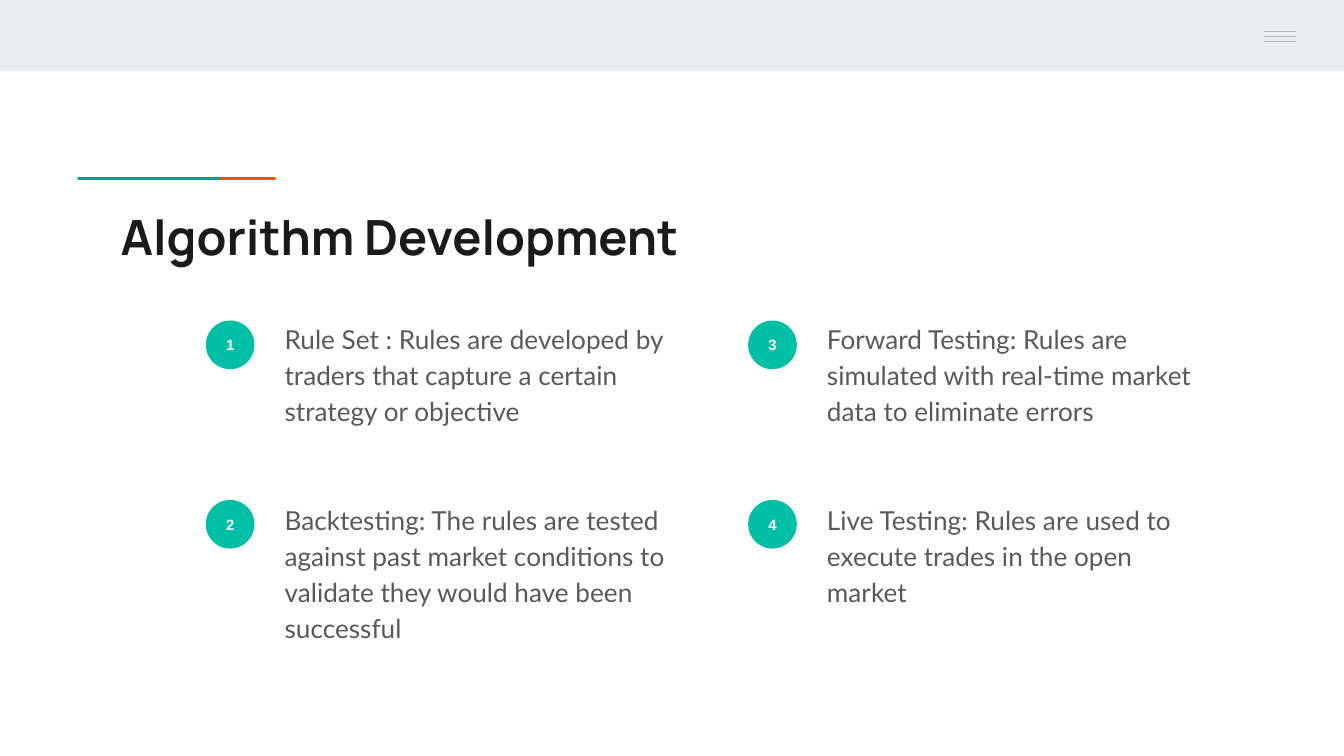
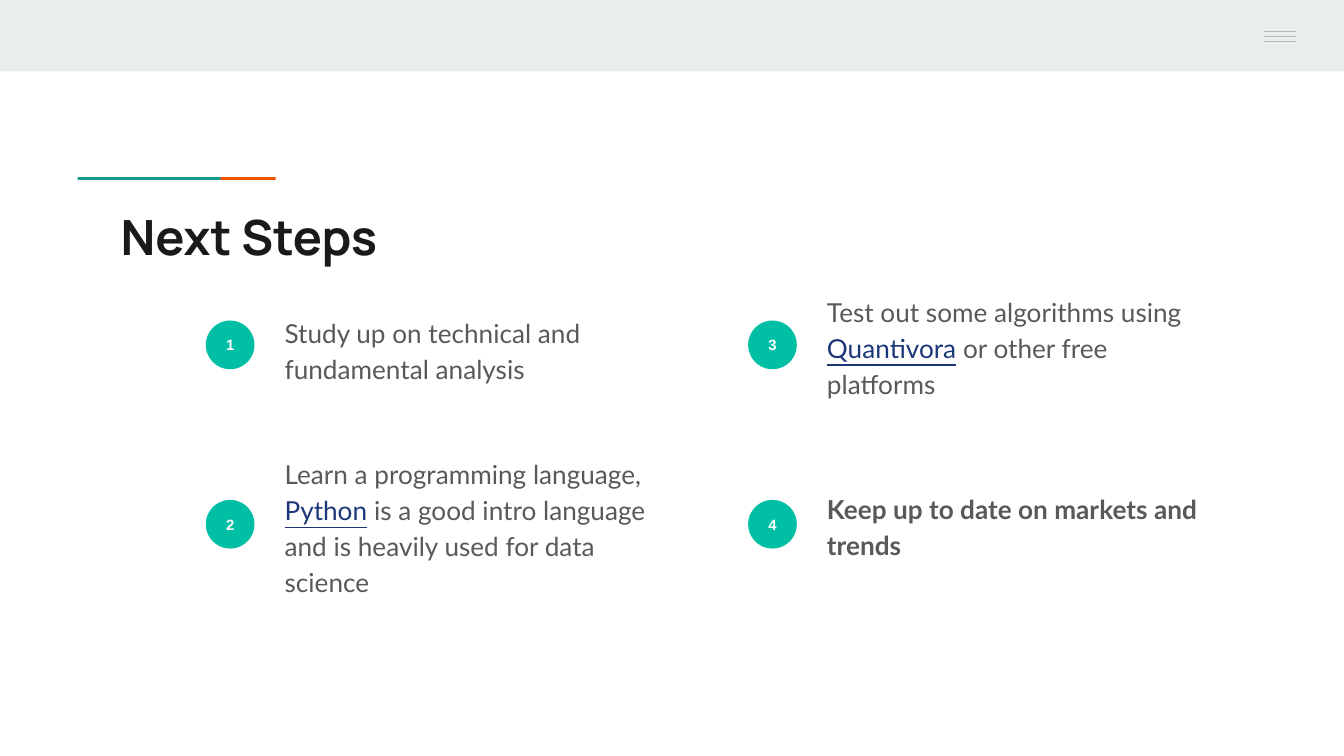
from lxml import etree
from pptx import Presentation, util as u
from pptx.dml.color import RGBColor
from pptx.enum import shapes, text
from pptx.oxml.ns import qn

Cm, Pt = u.Cm, u.Pt
HUES = {
    "band": "E9EDEE", "menu": "B7B7B7", "orange": "EB5600", "green": "1A9988",
    "badge": "00BFA5", "title": "1A1A1A", "body": "595959", "link": "1C3678",
    "white": "FFFFFF",
}


def hue(name):
    return RGBColor.from_string(HUES[name])


class Deck:
    def __init__(self):
        self.show = Presentation()
        self.show.slide_width, self.show.slide_height = Cm(25.4), Cm(14.29)
        self.slide = None

    def page(self, title):
        """Start a slide with the shared band, menu mark, bars and title."""
        self.slide = self.show.slides.add_slide(self.show.slide_layouts[6])
        self.shape("RECTANGLE", 0, 0, 25.4, 1.35, "band")
        for row in range(3):
            self.line(23.88, 0.59 + row * 0.1, 0.61)
        self.shape("RECTANGLE", 2.51, 3.35, 2.7, 0.05, "orange")
        self.shape("RECTANGLE", 1.47, 3.35, 2.7, 0.05, "green")
        self.text(2.03, 3.66, 21.36, 1.5, [title], "Manrope", 26, "title", True)

    def shape(self, kind, x, y, w, h, fill):
        item = self.slide.shapes.add_shape(
            shapes.MSO_SHAPE[kind], Cm(x), Cm(y), Cm(w), Cm(h))
        item.shadow.inherit = False
        item.fill.solid()
        item.fill.fore_color.rgb = hue(fill)
        item.line.fill.background()
        return item

    def line(self, x, y, w):
        item = self.slide.shapes.add_connector(
            shapes.MSO_CONNECTOR.STRAIGHT, Cm(x), Cm(y), Cm(x + w), Cm(y))
        item.line.color.rgb = hue("menu")
        item.line.width = Pt(0.75)
        etree.SubElement(item._element.spPr, qn("a:effectLst"))

    def label(self, frame, parts, face, size, color, bold=False):
        """Fill a text frame; every second part is styled as a link."""
        frame.word_wrap = True
        frame.margin_left = frame.margin_right = Cm(0.25)
        frame.margin_top = frame.margin_bottom = Cm(0.25)
        para = frame.paragraphs[0]
        para.text = parts[0]
        for spot, part in enumerate(parts[1:], 1):
            run = para.add_run()
            run.text = part
            if spot % 2:
                run.font.color.rgb = hue("link")
                run.font.underline = True
        font = para.font
        font.name, font.size, font.bold = face, Pt(size), bold
        font.color.rgb = hue(color)
        return para

    def text(self, x, y, w, h, *style):
        box = self.slide.shapes.add_textbox(Cm(x), Cm(y), Cm(w), Cm(h))
        return self.label(box.text_frame, *style)

    def badge(self, x, y, num):
        item = self.shape("OVAL", x, y, 0.92, 0.92, "badge")
        item.text_frame.vertical_anchor = text.MSO_ANCHOR.MIDDLE
        para = self.label(item.text_frame, [str(num)], "Arial", 8, "white", True)
        para.alignment = text.PP_ALIGN.CENTER

    def steps(self, items):
        """Lay out four numbered steps, down the left column, then the right."""
        for spot, (top, high, bold, parts) in enumerate(items):
            col, row = divmod(spot, 2)
            x = 3.89 + col * 10.25
            self.badge(x, 6.06 + row * 3.39, spot + 1)
            para = self.text(x + 1.24, top, 7.87, high,
                             parts, "Lato", 14, "body", bold)
            para.line_spacing = 1.15
            para.space_after = Pt(16)


def main():
    deck = Deck()
    deck.page("Algorithm Development")
    deck.steps([
        (5.77, 2.92, False, ["Rule Set : Rules are developed by traders that "
                             "capture a certain strategy or objective"]),
        (9.19, 2.92, False, ["Backtesting: The rules are tested against past market "
                             "conditions to validate they would have been successful"]),
        (5.77, 2.92, False, ["Forward Testing: Rules are simulated with real-time "
                             "market data to eliminate errors"]),
        (9.19, 2.92, False, ["Live Testing: Rules are used to execute trades "
                             "in the open market"]),
    ])
    deck.page("Next Steps")
    deck.steps([
        (5.66, 1.7, False, ["Study up on technical and fundamental analysis"]),
        (8.33, 3.18, False, ["Learn a programming language,\v", "Python",
                             " is a good intro language and is heavily used "
                             "for data science"]),
        (5.26, 2.51, False, ["Test out some algorithms using ", "Quantivora",
                             " or other free platforms"]),
        (8.99, 1.83, True, ["Keep up to date on markets and trends"]),
    ])
    deck.show.save("out.pptx")


if __name__ == "__main__":
    main()
